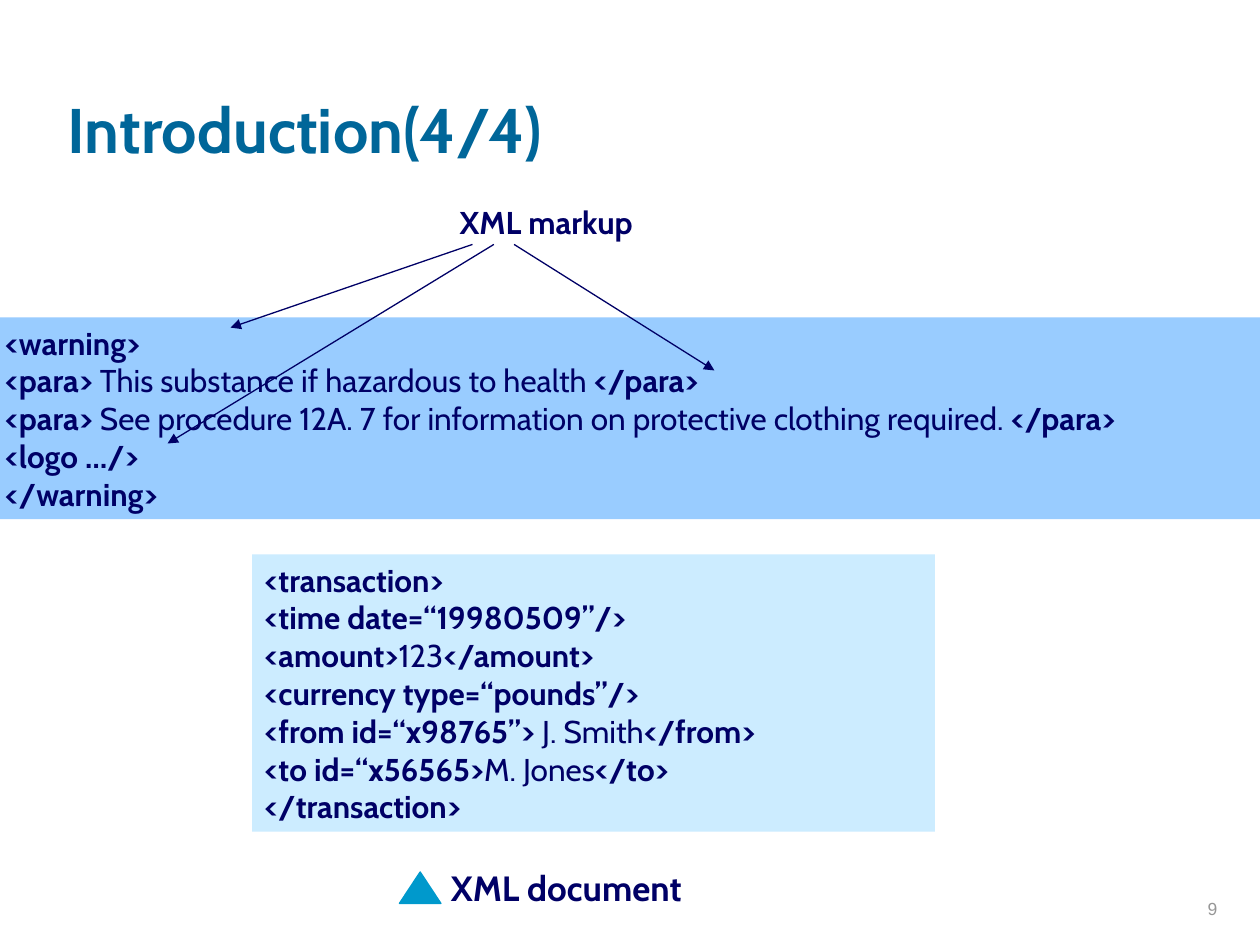
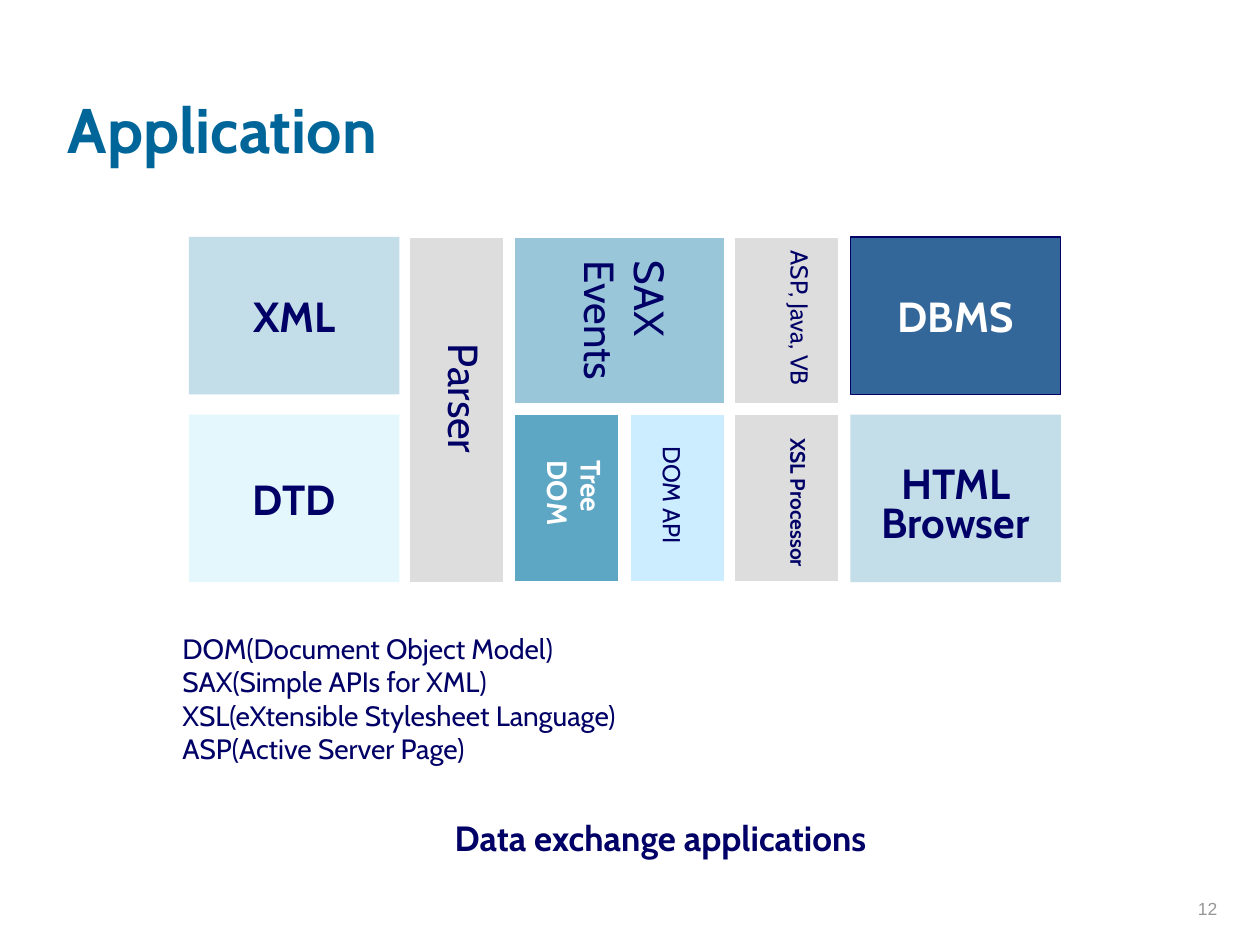
"""Builds two slides on XML markup and data exchange applications."""
from dataclasses import dataclass

from lxml.etree import SubElement
from pptx import Presentation
from pptx.dml.color import RGBColor
from pptx.enum.shapes import MSO_CONNECTOR, MSO_SHAPE
from pptx.enum.text import MSO_ANCHOR, MSO_AUTO_SIZE, PP_ALIGN
from pptx.oxml.ns import qn
from pptx.util import Inches, Pt


@dataclass(frozen=True)
class Theme:
    font: str = "Cabin"
    number_font: str = "Arial"
    title: str = "006699"
    ink: str = "000066"
    number: str = "969696"
    white: str = "FFFFFF"
    band: str = "99CCFF"
    pale: str = "CCECFF"
    accent: str = "0099CC"
    grey: str = "DDDDDD"
    mist: str = "C3DEE9"
    ice: str = "E3F7FD"
    sky: str = "99C7D9"
    teal: str = "5EA7C4"
    navy: str = "336699"
    title_size: int = 36
    tile_size: int = 24
    caption_size: int = 20
    code_size: int = 18
    note_size: int = 16
    label_size: int = 14
    small_size: int = 12
    number_size: int = 10
    thin: float = 0.75
    gap: float = 1


class Deck:
    def __init__(self, theme):
        self.theme = theme
        self.presentation = Presentation()
        self.presentation.slide_width = Inches(10)
        self.presentation.slide_height = Inches(7.5)
        self.slide = None

    def start(self, title, number):
        theme = self.theme
        layout = self.presentation.slide_layouts[6]
        self.slide = self.presentation.slides.add_slide(layout)
        self.text((0.44, 0.12, 8.5, 1.25), [title], theme.title_size, theme.title,
                  bold=True, anchor=MSO_ANCHOR.BOTTOM, wrap=True)
        self.text((7.68, 6.84, 2.08, 0.5), [number], theme.number_size, theme.number,
                  align=PP_ALIGN.RIGHT, anchor=MSO_ANCHOR.BOTTOM, wrap=True,
                  font=theme.number_font)

    def apply(self, target, values):
        for name, value in values.items():
            setattr(target, name, value)

    def fill_text(self, shape, lines, size, color=None, bold=False, align=PP_ALIGN.LEFT,
                  anchor=MSO_ANCHOR.TOP, wrap=False, grow=False, vertical=False,
                  font=None, spacing=None):
        frame = shape.text_frame
        across, along = (0.05, 0.1) if vertical else (0.1, 0.05)
        self.apply(frame, {
            "word_wrap": wrap,
            "vertical_anchor": anchor,
            "auto_size": MSO_AUTO_SIZE.SHAPE_TO_FIT_TEXT if grow else MSO_AUTO_SIZE.NONE,
            "margin_left": Inches(across), "margin_right": Inches(across),
            "margin_top": Inches(along), "margin_bottom": Inches(along),
        })
        if vertical:
            frame._txBody.bodyPr.set("vert", "eaVert")
        for row, line in enumerate(lines):
            paragraph = frame.add_paragraph() if row else frame.paragraphs[0]
            paragraph.alignment = align
            if row and spacing:
                self.apply(paragraph, spacing)
            for part, words in enumerate((line,) if isinstance(line, str) else line):
                run = paragraph.add_run()
                run.text = words
                self.apply(run.font, {"name": font or self.theme.font, "size": Pt(size),
                                      "bold": bold and part % 2 == 0})
                run.font.color.rgb = RGBColor.from_string(color or self.theme.ink)

    def text(self, place, lines, size, color=None, rotation=0, **style):
        box = self.slide.shapes.add_textbox(*map(Inches, place))
        box.rotation = rotation
        self.fill_text(box, lines, size, color, **style)

    def label(self, place, lines, size, color=None, **style):
        self.text(place, lines, size, color, grow=True, **style)

    def block(self, place, fill, outline=None, width=0, kind=MSO_SHAPE.RECTANGLE):
        shape = self.slide.shapes.add_shape(kind, *map(Inches, place))
        shape.shadow.inherit = False
        shape.fill.solid()
        shape.fill.fore_color.rgb = RGBColor.from_string(fill)
        if outline:
            shape.line.color.rgb = RGBColor.from_string(outline)
            shape.line.width = Pt(width)
        else:
            shape.line.fill.background()
        return shape

    def code(self, place, fill, lines, wrap):
        self.fill_text(self.block(place, fill), lines, self.theme.code_size,
                       bold=True, wrap=wrap, grow=True)

    def tile(self, place, fill, lines, color=None, outline=None, spacing=None):
        self.fill_text(self.block(place, fill, outline, self.theme.thin), lines,
                       self.theme.tile_size, color, bold=True, align=PP_ALIGN.CENTER,
                       anchor=MSO_ANCHOR.MIDDLE, spacing=spacing)

    def arrow(self, start, end):
        arrow = self.slide.shapes.add_connector(
            MSO_CONNECTOR.STRAIGHT, *map(Inches, (*start, *end)))
        arrow.line.color.rgb = RGBColor.from_string(self.theme.ink)
        arrow.line.width = Pt(self.theme.thin)
        SubElement(arrow.line._get_or_add_ln(), qn("a:tailEnd"), type="triangle")
        SubElement(arrow._element.spPr, qn("a:effectLst"))


def introduction(deck):
    theme = deck.theme
    deck.start("Introduction(4/4)", "9")
    deck.code((-0.06, 2.52, 10.29, 1.6), theme.band, [
        "<warning>",
        ("<para>", " This substance if hazardous to health ", "</para>"),
        ("<para>", " See procedure 12A. 7 for information on protective clothing required. ",
         "</para>"),
        "<logo …/>",
        "</warning>",
    ], wrap=False)
    deck.label((3.55, 1.56, 1.79, 0.4), ["XML markup"], theme.code_size, bold=True)
    for start, end in ((3.75, (1.83, 2.6)), (4.08, (5.67, 2.94)), (3.92, (1.33, 3.52))):
        deck.arrow((start, 1.94), end)
    deck.code((2, 4.4, 5.42, 2.2), theme.pale, [
        "<transaction>",
        "<time date=“19980509”/>",
        ("<amount>", "123", "</amount>"),
        "<currency type=“pounds”/>",
        ("<from id=“x98765”>", " J. Smith", "</from>"),
        ("<to id=“x56565>", "M. Jones", "</to>"),
        "</transaction>",
    ], wrap=True)
    deck.label((3.48, 6.83, 2.36, 0.44), ["XML document"], theme.caption_size, bold=True)
    deck.block((3.17, 6.92, 0.33, 0.25), theme.accent, theme.accent, theme.thin,
               MSO_SHAPE.ISOSCELES_TRIANGLE)


def application(deck):
    theme = deck.theme
    deck.start("Application", "12")
    top, bottom = 1.88, 3.29
    wide, narrow, slim = 1.67, 0.83, 0.75
    short, tall = 1.25, 1.33
    source, parser, events, api, processor, target = 1.5, 3.25, 4.08, 5, 5.83, 6.75

    deck.tile((source, top, wide, short), theme.mist, ["XML"])
    deck.tile((source, bottom, wide, tall), theme.ice, ["DTD"])
    deck.tile((target, top, wide, short), theme.navy, ["DBMS"], theme.white, theme.ink)
    deck.tile((target, bottom, wide, tall), theme.mist, ["HTML", "Browser"],
              spacing={"line_spacing": 0.1, "space_before": Pt(15)})
    for place, fill in (
        ((parser, top, slim, 2.75), theme.grey),
        ((events, top, wide, tall), theme.sky),
        ((events, bottom, narrow, tall), theme.teal),
        ((api, bottom, slim, tall), theme.pale),
        ((processor, top, narrow, tall), theme.grey),
        ((processor, bottom, narrow, tall), theme.grey),
    ):
        deck.block(place, fill, theme.white, theme.gap)

    for place, lines, size, bold in (
        ((3.34, 2.63, 0.6, 1.11), ["Parser"], theme.tile_size, False),
        ((4.42, 1.97, 1, 1.13), ["SAX", "Events"], theme.tile_size, False),
        ((6.09, 1.89, 0.43, 1.27), ["ASP, Java, VB"], theme.label_size, False),
        ((6.09, 3.38, 0.4, 1.26), ["XSL Processor"], theme.small_size, True),
    ):
        deck.label(place, lines, size, bold=bold, vertical=True)
    deck.label((4.16, 3.64, 0.8, 0.64), ["Tree", "DOM"], theme.note_size, theme.white,
               rotation=90, bold=True)
    deck.label((4.82, 3.79, 1.03, 0.34), ["DOM API"], theme.label_size, rotation=90)

    deck.label((1.35, 4.96, 4, 1.17), [
        "DOM(Document Object Model)",
        "SAX(Simple APIs for XML)",
        "XSL(eXtensible Stylesheet Language)",
        "ASP(Active Server Page)",
    ], theme.note_size)
    deck.label((3.51, 6.43, 4.05, 0.44), ["Data exchange applications"],
               theme.caption_size, bold=True)


def main():
    deck = Deck(Theme())
    introduction(deck)
    application(deck)
    deck.presentation.save("out.pptx")


if __name__ == "__main__":
    main()
